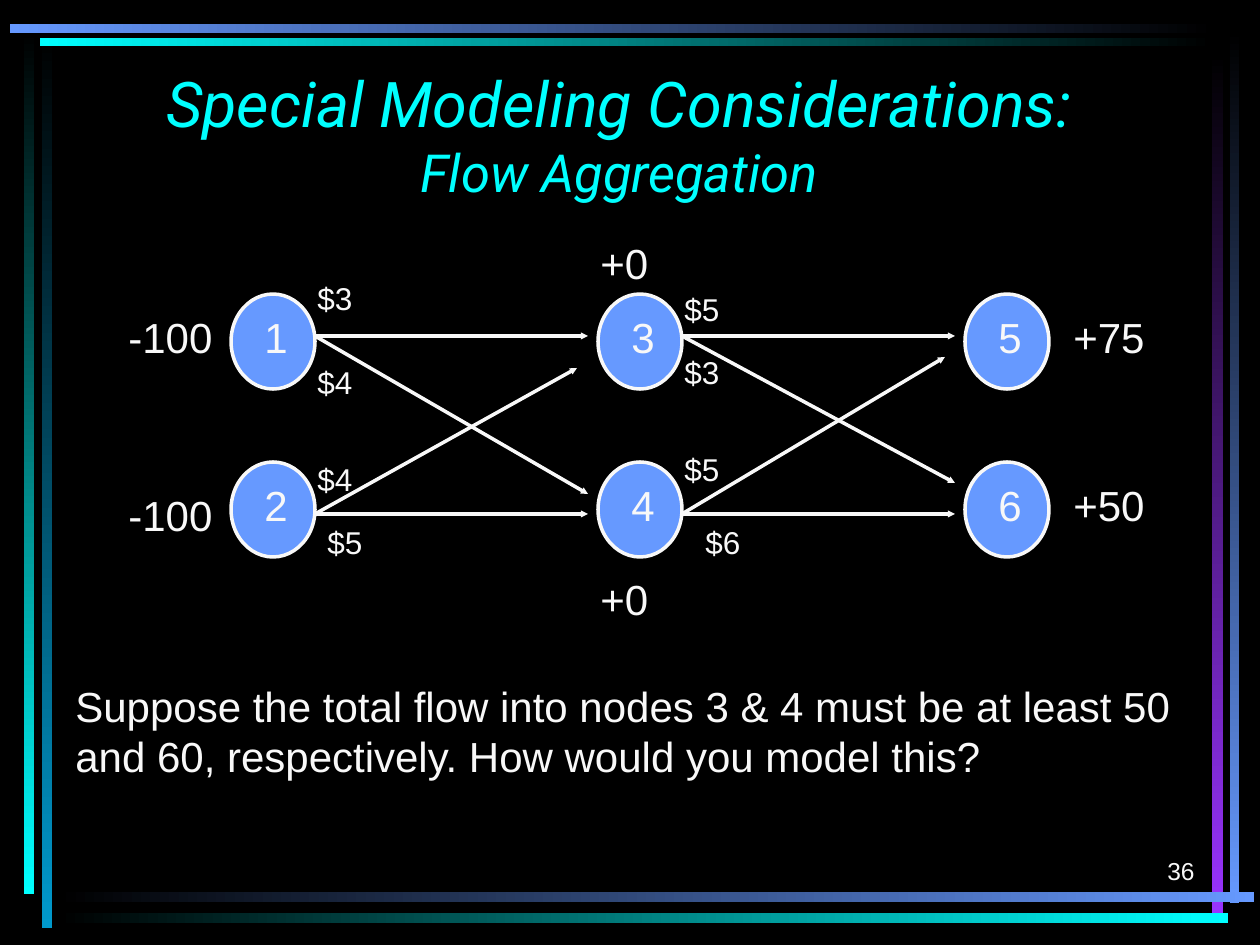
from lxml import etree
from pptx import Presentation
from pptx import util as u
from pptx.dml.color import RGBColor
from pptx.enum import shapes, text
from pptx.oxml import ns

PX = 914400 // 126
INK = {"black": "000000", "white": "F8F8F8", "blue": "6699FF",
       "cyan": "00FFFF", "teal": "0099CC", "violet": "9933FF"}

TITLE = ("Special Modeling Considerations:", "Flow Aggregation")
BODY = ("Suppose the total flow into nodes 3 & 4 must be at least 50 "
        "and 60, respectively. How would you model this?")
PAGE = "36"

# left, top, width, height, first colour, last colour
ACROSS = [(57, 892, 1197, 10, "black", "blue"),
          (57, 913, 1171, 10, "black", "cyan"),
          (40, 38, 1174, 8, "cyan", "black"),
          (10, 24, 1205, 9, "blue", "black")]
DOWN = [(42, 35, 10, 893, "black", "teal"),
        (24, 31, 10, 863, "black", "cyan"),
        (1230, 30, 9, 873, "black", "blue"),
        (1212, 53, 11, 861, "black", "violet")]

# Nodes are numbered down each column
LEFT, TOP, COL, ROW = 231, 294, 367, 168
WIDE, HIGH = 84, 95
NODES = [(c, r) for c in range(3) for r in range(2)]

# text, left, top
FLOWS = [("-100", 116, 305), ("-100", 116, 483),
         ("+75", 1061, 305), ("+50", 1061, 473),
         ("+0", 588, 567), ("+0", 588, 231)]
COSTS = [("$3", 305, 273), ("$4", 305, 357), ("$4", 305, 454), ("$5", 315, 517),
         ("$5", 672, 284), ("$3", 672, 347), ("$5", 672, 444), ("$6", 693, 517)]

# start column, start y, end x, end y
ARCS = [(0, 336, 588, 336), (0, 336, 588, 494),
        (0, 514, 588, 514), (0, 514, 577, 368),
        (1, 336, 955, 336), (1, 336, 955, 483),
        (1, 514, 955, 514), (1, 514, 945, 357)]


def emu(*vals):
    return [v * PX for v in vals]


def rgb(name):
    return RGBColor.from_string(INK[name])


def style(font, size, name="Arial", ink="white"):
    font.name, font.size = name, u.Pt(size)
    font.color.rgb = rgb(ink)


def bar(slide, box, first, last, angle):
    """Draw a frame bar that fades from first to last colour."""
    rect = slide.shapes.add_shape(shapes.MSO_SHAPE.RECTANGLE, *emu(*box))
    rect.shadow.inherit = False
    rect.line.fill.background()
    rect.fill.gradient()
    rect.fill.gradient_angle = angle
    for stop, ink, at in zip(rect.fill.gradient_stops, (first, last), (0, 1)):
        stop.color.rgb = rgb(ink)
        stop.position = at


def label(slide, words, box, size=24):
    frame = slide.shapes.add_textbox(*emu(*box)).text_frame
    frame.word_wrap = True
    frame.text = words
    style(frame.paragraphs[0].font, size)
    return frame


def node(slide, num, col, row):
    x, y = LEFT + col * COL, TOP + row * ROW
    oval = slide.shapes.add_shape(shapes.MSO_SHAPE.OVAL, *emu(x, y, WIDE, HIGH))
    oval.shadow.inherit = False
    oval.fill.solid()
    oval.fill.fore_color.rgb = rgb("blue")
    oval.line.color.rgb = rgb("white")
    oval.line.width = u.Pt(2)
    label(slide, str(num), (x + 21, y + 11, 42, 63))


def arc(slide, col, y, endx, endy):
    start = LEFT + WIDE + col * COL
    line = slide.shapes.add_connector(
        shapes.MSO_CONNECTOR.STRAIGHT, *emu(start, y, endx, endy))
    line.line.color.rgb = rgb("white")
    line.line.width = u.Pt(2)
    etree.SubElement(line.line._get_or_add_ln(), ns.qn("a:tailEnd"),
                     type="triangle", w="sm", len="sm")
    etree.SubElement(line._element.spPr, ns.qn("a:effectLst"))


def head(slide):
    title = slide.shapes.title
    title.left, title.top, title.width, title.height = emu(84, 73, 1071, 136)
    frame = title.text_frame
    frame.text = "\v".join(TITLE)
    frame.auto_size = text.MSO_AUTO_SIZE.NONE
    frame.vertical_anchor = text.MSO_ANCHOR.BOTTOM
    para = frame.paragraphs[0]
    para.alignment = text.PP_ALIGN.CENTER
    for run, size in zip(para.runs, (36, 30)):
        style(run.font, size, "Roboto", "cyan")
        run.font.italic = True


def main():
    deck = Presentation()
    deck.slide_width, deck.slide_height = emu(1260, 945)
    slide = deck.slides.add_slide(deck.slide_layouts[5])
    slide.background.fill.solid()
    slide.background.fill.fore_color.rgb = rgb("black")

    for bars, angle in ((DOWN, 270), (ACROSS, 0)):
        for *box, first, last in bars:
            bar(slide, box, first, last, angle)
    head(slide)
    for num, (col, row) in enumerate(NODES, 1):
        node(slide, num, col, row)
    for words, x, y in FLOWS:
        label(slide, words, (x, y, 136, 63))
    for item in ARCS:
        arc(slide, *item)
    for words, x, y in COSTS:
        label(slide, words, (x, y, 73, 50), 18)
    label(slide, BODY, (63, 674, 1144, 113))

    page = label(slide, PAGE, (945, 829, 262, 63), 14)
    page.vertical_anchor = text.MSO_ANCHOR.BOTTOM
    page.paragraphs[0].alignment = text.PP_ALIGN.RIGHT
    deck.save("out.pptx")


if __name__ == "__main__":
    main()
